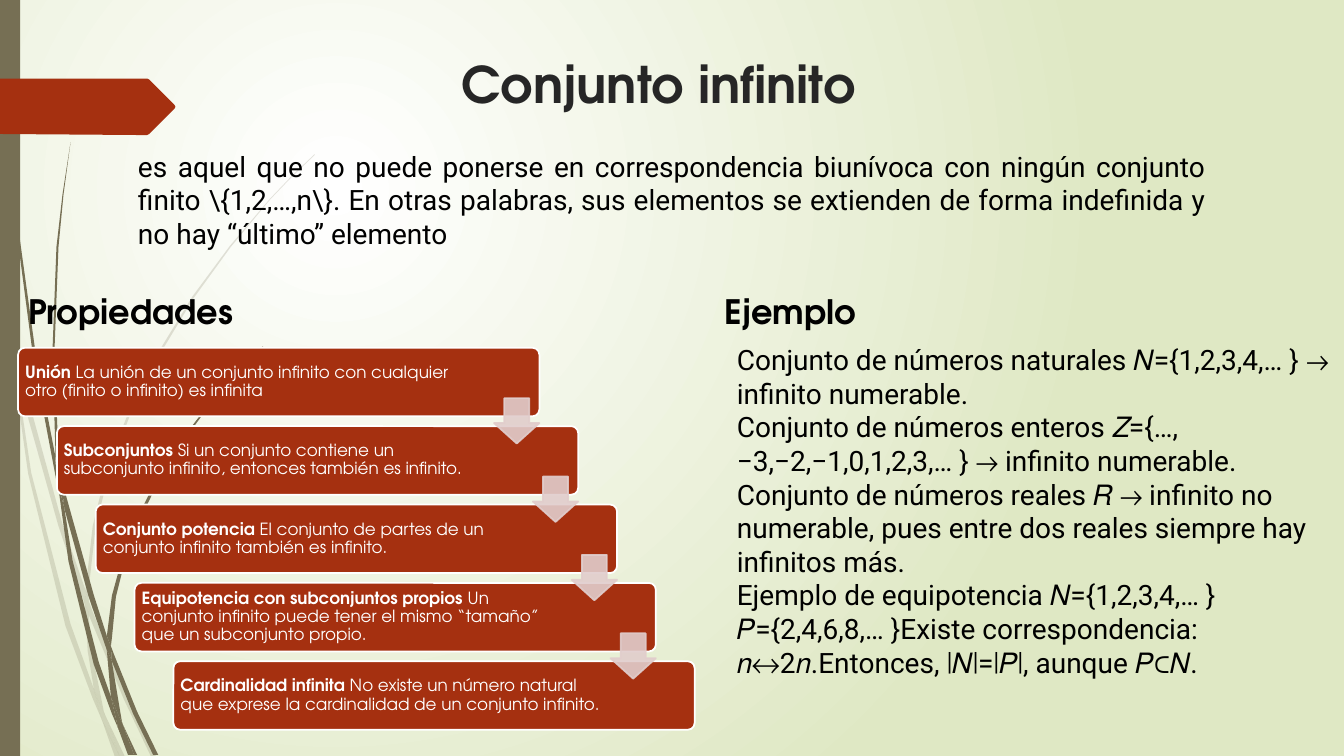
"""Builds the slide about infinite sets, their properties and examples."""
from lxml.etree import SubElement
from pptx import Presentation
from pptx.dml.color import RGBColor
from pptx.enum.shapes import MSO_SHAPE
from pptx.enum.text import MSO_ANCHOR, PP_ALIGN
from pptx.oxml.ns import qn
from pptx.util import Inches, Pt

WHITE = RGBColor(0xFF, 0xFF, 0xFF)
BLACK = RGBColor(0x00, 0x00, 0x00)
CHARCOAL = RGBColor(0x26, 0x26, 0x26)
PALE_GREEN = RGBColor(0xDF, 0xE8, 0xC4)
OLIVE = RGBColor(0x76, 0x6F, 0x54)
RUST = RGBColor(0xA5, 0x30, 0x10)
BLUSH = RGBColor(0xE1, 0xCD, 0xCC)
HEADING_FONT = "TeX Gyre Adventor"
BODY_FONT = "Roboto"

FAINT_GRASS = [
    "11,350 9,322 0,282 0,299 10,344",
    "58,522 84,599 85,586 62,520 14,345 17,376",
    "92,607 88,596 88,610 123,694 150,751 155,751 127,692",
    "119,751 124,751 105,711",
    "93,683 70,619 31,469 17,376 11,350 28,470 65,621 92,693 101,714 99,707",
    "84,599 87,646 93,683 96,692 105,711 103,706 91,646 88,610 88,608",
    "88,584 95,522 110,462 132,404 160,349 192,296 229,245 268,198 290,175 312,154 "
    "312,153 289,175 268,197 228,244 191,294 158,348 130,403 107,461 92,522 85,584 85,586 88,596",
    "101,714 114,751 119,751",
    "88,608 88,610 88,596 85,586 84,599",
    "96,692 93,683 99,707 101,714 119,751 105,711",
]
SOLID_GRASS = [
    "7,110 17,233 33,355 56,477 57,481 55,457 55,453 36,355 19,232 8,109 5,48 4,0 3,0 4,48",
    "88,592 106,645 106,633 106,631 93,590 60,472 64,505",
    "113,649 110,641 111,656 132,708 152,749 157,749 136,706",
    "110,691 98,657 72,556 64,505 57,477 68,557 93,659 111,708 117,722 116,717",
    "60,472 58,453 54,349 58,245 63,193 70,141 62,193 56,245 52,349 55,449",
    "133,749 136,749 122,719",
    "57,477 64,505 60,472 55,449 55,453",
    "111,633 115,592 125,552 140,513 158,476 180,440 205,406 231,374 245,359 261,344 "
    "260,344 245,358 231,373 204,405 178,439 156,474 137,512 122,551 111,591 106,631 110,641",
    "117,722 127,749 131,749",
    "106,645 110,691 116,706 122,719 121,716 111,656 109,651",
    "106,645 109,651 111,656 110,641 106,631 106,633",
    "116,706 110,691 116,717 117,722 130,749 133,749 122,719",
]
BANNER = "173,108 148,133 146,134 136,134 0,133 0,78 136,78 146,78 148,79 173,104 174,106"

DEFINITION = (
    "es aquel que no puede ponerse en correspondencia biunívoca con ningún conjunto finito "
    "\\{1,2,…,n\\}. En otras palabras, sus elementos se extienden de forma indefinida "
    "y no hay “último” elemento"
)
EXAMPLES = [
    "Conjunto de números naturales 𝑁={1,2,3,4,… } → infinito numerable.",
    "Conjunto de números enteros 𝑍={…,−3,−2,−1,0,1,2,3,… } → infinito numerable.",
    "Conjunto de números reales 𝑅 → infinito no numerable, pues entre dos reales "
    "siempre hay infinitos más.",
    "Ejemplo de equipotencia 𝑁={1,2,3,4,… }𝑃={2,4,6,8,… }Existe correspondencia: "
    "𝑛↔2𝑛.Entonces, ∣𝑁∣=∣𝑃∣, aunque 𝑃⊂𝑁.",
]
PROPERTIES = [
    ("Unión", " La unión de un conjunto infinito con cualquier otro (finito o infinito) es infinita",
     4.35),
    ("Subconjuntos ",
     "Si un conjunto contiene un subconjunto infinito, entonces también es infinito.", 4.3),
    ("Conjunto potencia", " El conjunto de partes de un conjunto infinito también es infinito.", 4.3),
    ("Equipotencia con subconjuntos propios ",
     "Un conjunto infinito puede tener el mismo “tamaño” que un subconjunto propio.", 4.3),
    ("Cardinalidad infinita",
     " No existe un número natural que exprese la cardinalidad de un conjunto infinito.", 4.3),
]


class SlideBuilder:
    """Holds the current slide and draws styled elements on it."""

    def __init__(self, slide):
        self.slide = slide

    def background(self, inner, outer):
        """Fill the background with a circular gradient."""
        fill = self.slide.background.fill
        fill.gradient()
        for stop, color, position in zip(fill.gradient_stops, (inner, outer), (0, 1)):
            stop.color.rgb = color
            stop.position = position
        gradient = next(self.slide.element.iter(qn("a:gradFill")))
        for linear in gradient.findall(qn("a:lin")):
            gradient.remove(linear)
        circle = SubElement(gradient, qn("a:path"), {"path": "circle"})
        SubElement(circle, qn("a:fillToRect"),
                   {"l": "50000", "t": "50000", "r": "100000", "b": "100000"})

    def paint(self, shape, color, border=None, opacity=100):
        """Set fill, border and opacity of a shape."""
        shape.shadow.inherit = False
        shape.fill.solid()
        shape.fill.fore_color.rgb = color
        if border is None:
            shape.line.fill.background()
        else:
            shape.line.color.rgb = border
            shape.line.width = Pt(1.25)
        if opacity < 100:
            for tint in shape.element.spPr.iter(qn("a:srgbClr")):
                SubElement(tint, qn("a:alpha"), {"val": str(opacity * 1000)})

    def outline(self, points, color, opacity=100):
        """Draw a closed outline from points in hundredths of an inch."""
        start, *rest = [tuple(map(int, point.split(","))) for point in points.split()]
        builder = self.slide.shapes.build_freeform(*start, scale=Inches(0.01))
        builder.add_line_segments(rest, close=True)
        self.paint(builder.convert_to_shape(), color, opacity=opacity)

    def preset(self, kind, box, color, border=None, opacity=100, adjustments=()):
        """Draw a preset shape."""
        shape = self.slide.shapes.add_shape(kind, *map(Inches, box))
        for index, value in enumerate(adjustments):
            shape.adjustments[index] = value
        self.paint(shape, color, border, opacity)

    def text(self, box, paragraphs, size, font, color, bold=False, align=PP_ALIGN.LEFT):
        """Write paragraphs in a wrapping text box and return its frame."""
        frame = self.slide.shapes.add_textbox(*map(Inches, box)).text_frame
        frame.word_wrap = True
        frame.text = "\n".join(paragraphs)
        for paragraph in frame.paragraphs:
            paragraph.alignment = align
            for run in paragraph.runs:
                self.style(run, size, font, color, bold)
        return frame

    def style(self, run, size, font, color, bold):
        """Format one run."""
        run.font.size = Pt(size)
        run.font.name = font
        run.font.color.rgb = color
        run.font.bold = bold

    def property_step(self, left, top, name, statement, width):
        """Draw one card of the staircase with its bold name and statement."""
        self.preset(MSO_SHAPE.ROUNDED_RECTANGLE, (left, top, 5.17, 0.68), RUST, WHITE,
                    adjustments=[0.1])
        frame = self.text((left + 0.02, top + 0.02, width, 0.64), [name], 12,
                          HEADING_FONT, WHITE, bold=True)
        frame.vertical_anchor = MSO_ANCHOR.MIDDLE
        frame.margin_left = frame.margin_right = Inches(0.05)
        frame.margin_top = frame.margin_bottom = Inches(0.05)
        paragraph = frame.paragraphs[0]
        paragraph.line_spacing = 0.9
        explanation = paragraph.add_run()
        explanation.text = statement
        self.style(explanation, 12, HEADING_FONT, WHITE, False)


def main():
    """Build and save the slide."""
    deck = Presentation()
    deck.slide_width, deck.slide_height = Inches(13.33), Inches(7.5)
    page = SlideBuilder(deck.slides.add_slide(deck.slide_layouts[6]))

    page.background(WHITE, PALE_GREEN)
    for blades, opacity in ((FAINT_GRASS, 20), (SOLID_GRASS, 100)):
        for blade in blades:
            page.outline(blade, OLIVE, opacity)
    page.preset(MSO_SHAPE.RECTANGLE, (0, 0, 0.2, 7.5), OLIVE)
    page.outline(BANNER, RUST)

    page.text((4.48, 0.48, 4.83, 0.77), ["Conjunto infinito"], 36, HEADING_FONT, CHARCOAL, bold=True)
    page.text((1.27, 1.43, 10.79, 1.11), [DEFINITION], 20, BODY_FONT, BLACK, align=PP_ALIGN.JUSTIFY)
    for left, heading in ((0.18, "Propiedades"), (7.09, "Ejemplo")):
        page.text((left, 2.84, 6.71, 0.5), [heading], 24, HEADING_FONT, BLACK, bold=True)
    page.text((7.21, 3.35, 6.13, 3.8), EXAMPLES, 20, BODY_FONT, BLACK)

    corners = [(0.18 + 1.54 * step / 4, 3.45 + 3.11 * step / 4) for step in range(len(PROPERTIES))]
    for (left, top), (name, statement, width) in zip(corners, PROPERTIES):
        page.property_step(left, top, name, statement, width)
    for left, top in corners[:-1]:
        page.preset(MSO_SHAPE.DOWN_ARROW, (left + 4.72, top + 0.5, 0.45, 0.45), BLUSH, BLUSH,
                    opacity=90, adjustments=[0.55, 0.45])

    deck.save("out.pptx")


if __name__ == "__main__":
    main()
